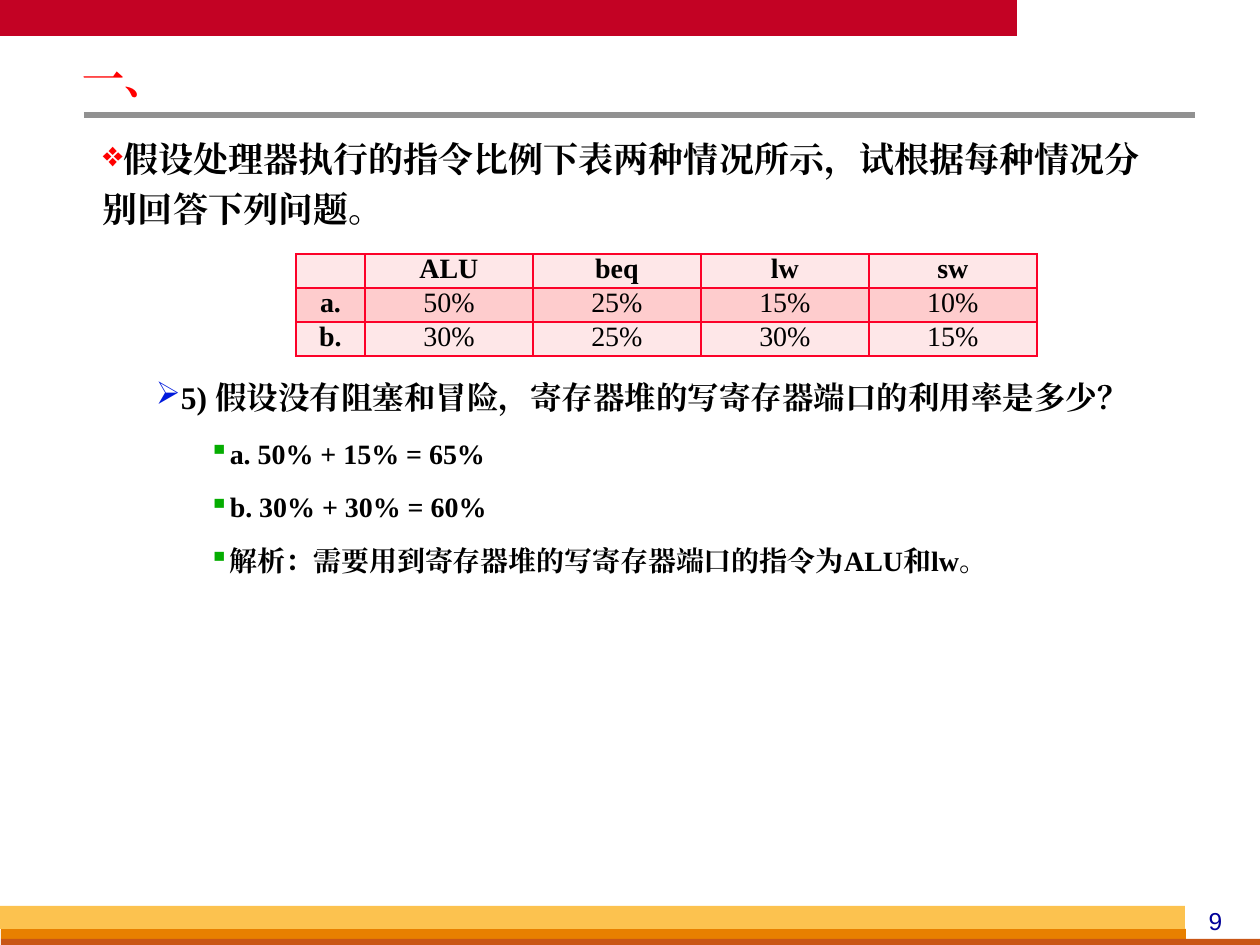
from dataclasses import dataclass

from lxml.etree import SubElement as Sub
from pptx import Presentation
from pptx.dml.color import RGBColor as Rgb
from pptx.enum.shapes import MSO_CONNECTOR as Link, MSO_SHAPE as Shape
from pptx.enum.text import PP_ALIGN as Align
from pptx.oxml.ns import qn
from pptx.util import Emu, Pt

SCALE = 914400 / 126


@dataclass(frozen=True)
class Theme:
    serif: str = "Times New Roman"
    sans: str = "Arial"
    black: str = "000000"
    title: str = "FF0000"
    number: str = "000099"
    banner: str = "C30224"
    rule: str = "919191"
    gold: str = "FCC24F"
    orange: str = "E88000"
    rust: str = "C95616"
    border: str = "FC0128"
    bands: tuple = ("FEE7E8", "FECCCD")
    title_size: int = 24
    cell_size: int = 16
    number_size: int = 14
    # Per outline level: indent px, bullet, bullet colour, type size
    levels: tuple = (
        (0, "❖", "FF0000", 20),
        (53, "➢", "001ADC", 18),
        (106, "▪", "05AD01", 16),
    )


THEME = Theme()
HEAD = [(0, "假设处理器执行的指令比例下表两种情况所示，试根据每种情况分别回答下列问题。")]
ANSWER = [
    (1, "5) 假设没有阻塞和冒险，寄存器堆的写寄存器端口的利用率是多少？"),
    (2, "a. 50% + 15% = 65%"),
    (2, "b. 30% + 30% = 60%"),
    (2, "解析：需要用到寄存器堆的写寄存器端口的指令为ALU和lw。"),
]
MIX = [
    ["", "ALU", "beq", "lw", "sw"],
    ["a.", "50%", "25%", "15%", "10%"],
    ["b.", "30%", "25%", "30%", "15%"],
]


def px(n):
    return Emu(round(n * SCALE))


def style(para, size, color=THEME.black, face=THEME.serif, bold=True):
    for run in para.runs:
        font = run.font
        font.size, font.name, font.bold = Pt(size), face, bold
        font.color.rgb = Rgb.from_string(color)
        Sub(font._element, qn("a:ea")).set("typeface", face)


def add_bar(slide, box, color):
    bar = slide.shapes.add_shape(Shape.RECTANGLE, *map(px, box))
    bar.shadow.inherit = False
    bar.fill.solid()
    bar.fill.fore_color.rgb = Rgb.from_string(color)
    bar.line.fill.background()


def add_rule(slide, ends, color, width):
    rule = slide.shapes.add_connector(Link.STRAIGHT, *map(px, ends))
    rule.line.color.rgb = Rgb.from_string(color)
    rule.line.width = Pt(width)
    Sub(rule._element.spPr, qn("a:effectLst"))


def add_frame(slide, box, pad):
    """Add a wrapping text box; pad is its side and top margin in px."""
    frame = slide.shapes.add_textbox(*map(px, box)).text_frame
    frame.word_wrap = True
    frame.margin_left = frame.margin_right = px(pad[0])
    frame.margin_top = frame.margin_bottom = px(pad[1])
    return frame


def add_bullet(para, indent, mark, color):
    props = para._p.get_or_add_pPr()
    props.set("marL", str(px(indent)))
    props.set("indent", "0")
    Sub(Sub(props, qn("a:buClr")), qn("a:srgbClr")).set("val", color)
    Sub(props, qn("a:buChar")).set("char", mark)


def add_list(slide, box, items):
    frame = add_frame(slide, box, (9, 4))
    for i, (level, text) in enumerate(items):
        para = frame.add_paragraph() if i else frame.paragraphs[0]
        indent, mark, color, size = THEME.levels[level]
        para.text = text
        add_bullet(para, indent, mark, color)
        gap = Pt(round(size * 0.23, 1))
        para.line_spacing = 1.2
        para.space_before = gap if i else Pt(0)
        para.space_after = gap
        style(para, size)


def set_border(cell, color):
    props = cell._tc.get_or_add_tcPr()
    for i, side in enumerate(("lnL", "lnR", "lnT", "lnB")):
        line = props.makeelement(qn("a:" + side), {"w": str(Pt(1))})
        Sub(Sub(line, qn("a:solidFill")), qn("a:srgbClr")).set("val", color)
        props.insert(i, line)


def fill_cell(cell, text, band, bold):
    cell.margin_left = cell.margin_right = px(10)
    cell.margin_top = cell.margin_bottom = 0
    cell.fill.solid()
    cell.fill.fore_color.rgb = Rgb.from_string(band)
    set_border(cell, THEME.border)
    para = cell.text_frame.paragraphs[0]
    para.alignment = Align.CENTER
    if text:
        para.text = text
        style(para, THEME.cell_size, bold=bold)
    else:
        # Keeps the row from growing to the default type size
        Sub(para._p, qn("a:endParaRPr")).set("sz", str(THEME.cell_size * 100))


def add_mix(slide, left, top, widths, height):
    """Add the table of instruction shares."""
    size = (left, top, sum(widths), height * len(MIX))
    table = slide.shapes.add_table(len(MIX), len(widths), *map(px, size)).table
    for col, width in zip(table.columns, widths):
        col.width = px(width)
    for r, row in enumerate(MIX):
        table.rows[r].height = px(height)
        for c, text in enumerate(row):
            fill_cell(table.cell(r, c), text, THEME.bands[r % 2], r == 0 or c == 0)


def add_title(slide):
    para = add_frame(slide, (74, 55, 725, 52), (9, 4)).paragraphs[0]
    para.text = "一、"
    para.line_spacing = 0.87
    style(para, THEME.title_size, THEME.title)


def add_number(slide):
    para = add_frame(slide, (1176, 900, 79, 42), (13, 6)).paragraphs[0]
    para.text = "9"
    para.alignment = Align.CENTER
    style(para, THEME.number_size, THEME.number, THEME.sans, False)


def main():
    deck = Presentation()
    deck.slide_width, deck.slide_height = px(1260), px(945)
    slide = deck.slides.add_slide(deck.slide_layouts[6])
    add_bar(slide, (0, 0, 1017, 36), THEME.banner)
    add_rule(slide, (84, 115, 1195, 115), THEME.rule, 3)
    add_bar(slide, (1, 929, 1185, 10), THEME.orange)
    add_bar(slide, (1, 939, 1259, 6), THEME.rust)
    add_bar(slide, (0, 906, 1185, 23), THEME.gold)
    add_number(slide)
    add_list(slide, (94, 125, 1081, 112), HEAD)
    add_list(slide, (94, 367, 1081, 224), ANSWER)
    add_mix(slide, 296, 254, [69] + [168] * 4, 34)
    add_title(slide)
    deck.save("out.pptx")


if __name__ == "__main__":
    main()
